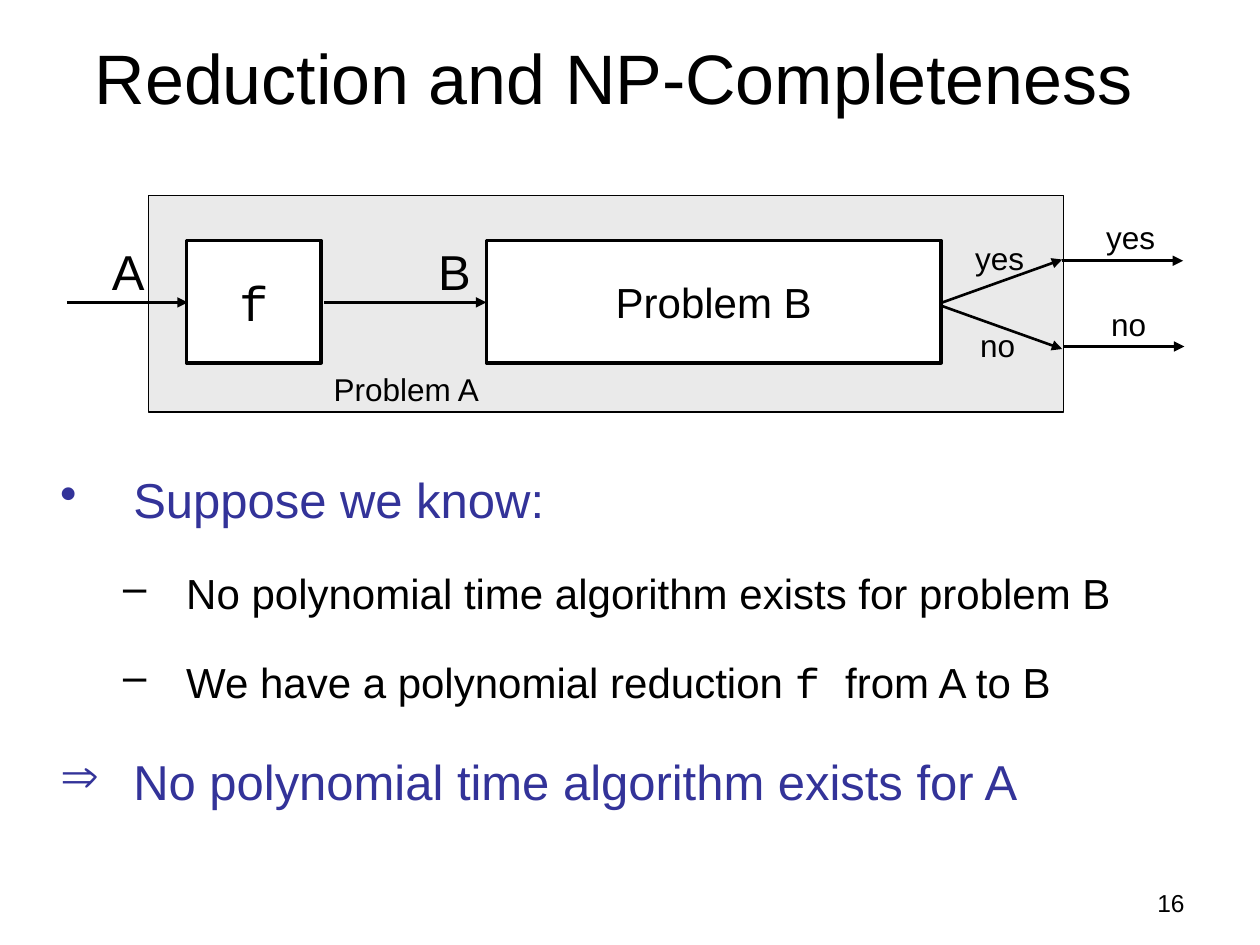
from dataclasses import dataclass

from pptx import Presentation
from pptx.dml.color import RGBColor
from pptx.enum.shapes import MSO_CONNECTOR as Connector, MSO_SHAPE as Shape
from pptx.enum.text import MSO_ANCHOR as Anchor, MSO_AUTO_SIZE as AutoSize, PP_ALIGN as Align
from pptx.oxml.ns import qn
from pptx.util import Inches, Pt
from lxml.etree import SubElement


@dataclass(frozen=True)
class Theme:
    black: str = "000000"
    white: str = "FFFFFF"
    panel: str = "EAEAEA"
    accent: str = "333399"
    sans: str = "Arial"
    mono: str = "Courier New"
    title: int = 40
    large: int = 28
    medium: int = 24
    small: int = 18
    footer: int = 14


THEME = Theme()


def rgb(value):
    return RGBColor.from_string(value)


def style_span(span, size, color=THEME.black, font=THEME.sans):
    span.font.size = Pt(size)
    span.font.name = font
    span.font.color.rgb = rgb(color)


def set_text(box, text, size, align=Align.LEFT, font=THEME.sans):
    box.text_frame.text = text
    para = box.text_frame.paragraphs[0]
    para.alignment = align
    style_span(para.runs[0], size, font=font)


def add_text(page, place, text, size, align=Align.LEFT, anchor=Anchor.TOP):
    box = page.shapes.add_textbox(*map(Inches, place))
    box.text_frame.word_wrap = True
    box.text_frame.vertical_anchor = anchor
    set_text(box, text, size, align)


def add_label(page, left, top, width, height, text, size):
    """Label that fits its single line of text."""
    box = page.shapes.add_textbox(*map(Inches, (left, top, width, height)))
    box.text_frame.word_wrap = False
    box.text_frame.auto_size = AutoSize.SHAPE_TO_FIT_TEXT
    set_text(box, text, size)


def add_block(page, place, fill, line_width):
    block = page.shapes.add_shape(Shape.RECTANGLE, *map(Inches, place))
    block.shadow.inherit = False
    block.fill.solid()
    block.fill.fore_color.rgb = rgb(fill)
    block.line.color.rgb = rgb(THEME.black)
    block.line.width = Pt(line_width)
    return block


def add_process(page, left, width, text, size, font):
    block = add_block(page, (left, 1.91, width, 0.97), THEME.white, 2)
    block.text_frame.word_wrap = False
    block.text_frame.vertical_anchor = Anchor.MIDDLE
    set_text(block, text, size, Align.CENTER, font)


def add_arrow(page, *ends):
    arrow = page.shapes.add_connector(Connector.STRAIGHT, *map(Inches, ends))
    arrow.line.color.rgb = rgb(THEME.black)
    arrow.line.width = Pt(1.5)
    properties = arrow._element.spPr
    SubElement(properties.find(qn("a:ln")), qn("a:tailEnd"), type="triangle")
    SubElement(properties, qn("a:effectLst"))


def add_bullet(para, level, mark, spans):
    size, color, margin, indent = (
        (THEME.medium, THEME.black, 1, -0.5) if level
        else (THEME.large, THEME.accent, 0.58, -0.58))
    para.level = level
    para.line_spacing = 1.6
    properties = para._p.get_or_add_pPr()
    properties.set("marL", str(Inches(margin)))
    properties.set("indent", str(Inches(indent)))
    SubElement(properties, qn("a:buChar"), char=mark)
    for text, font in spans:
        span = para.add_run()
        span.text = text
        style_span(span, size, color, font)
    return size


def add_bullets(page, place, items):
    box = page.shapes.add_textbox(*map(Inches, place))
    frame = box.text_frame
    frame.word_wrap = True
    frame.margin_top = Inches(0.13)
    for index, item in enumerate(items):
        para = frame.add_paragraph() if index else frame.paragraphs[0]
        size = add_bullet(para, *item)
        if index:
            para.space_before = Pt(0.2 * size)


def add_diagram(page):
    # Problem A encloses the reduction f and problem B
    add_block(page, (1.18, 1.55, 7.26, 1.72), THEME.panel, 0.75)
    add_process(page, 1.48, 1.07, "f", THEME.large, THEME.mono)
    add_process(page, 3.86, 3.61, "Problem B", THEME.medium, THEME.sans)

    # Inputs, answers of B, answers of A
    for ends in ((0.53, 2.4, 1.49, 2.4), (2.57, 2.4, 3.86, 2.4),
                 (7.48, 2.4, 8.43, 2.06), (7.48, 2.43, 8.43, 2.77),
                 (8.43, 2.07, 9.39, 2.07), (8.44, 2.75, 9.4, 2.75)):
        add_arrow(page, *ends)

    # Labels
    for left, text in ((0.79, "A"), (3.38, "B")):
        add_label(page, left, 1.87, 0.46, 0.57, text, THEME.large)
    for left, top in ((7.64, 1.85), (8.68, 1.68)):
        add_label(page, left, top, 0.59, 0.4, "yes", THEME.small)
        add_label(page, left + 0.04, top + 0.69, 0.48, 0.4, "no", THEME.small)
    add_label(page, 2.55, 2.89, 1.37, 0.4, "Problem A", THEME.small)


def main():
    deck = Presentation()
    deck.slide_width, deck.slide_height = Inches(10), Inches(7.5)
    page = deck.slides.add_slide(deck.slide_layouts[6])

    # Title and page number
    add_text(page, (0.37, 0.11, 9, 0.99), "Reduction and NP-Completeness",
             THEME.title, Align.CENTER, Anchor.MIDDLE)
    add_text(page, (7.17, 7, 2.33, 0.35), "16", THEME.footer, Align.RIGHT)

    add_diagram(page)

    # Argument
    sans, mono = THEME.sans, THEME.mono
    add_bullets(page, (0.38, 3.32, 9, 3.91), (
        (0, "•", [("Suppose we know:", sans)]),
        (1, "–", [("No polynomial time algorithm exists for problem B", sans)]),
        (1, "–", [("We have a polynomial reduction ", sans), ("f ", mono),
                  ("from A to B", sans)]),
        (0, "⇒", [("No polynomial time algorithm exists for A", sans)]),
    ))

    deck.save("out.pptx")


if __name__ == "__main__":
    main()
